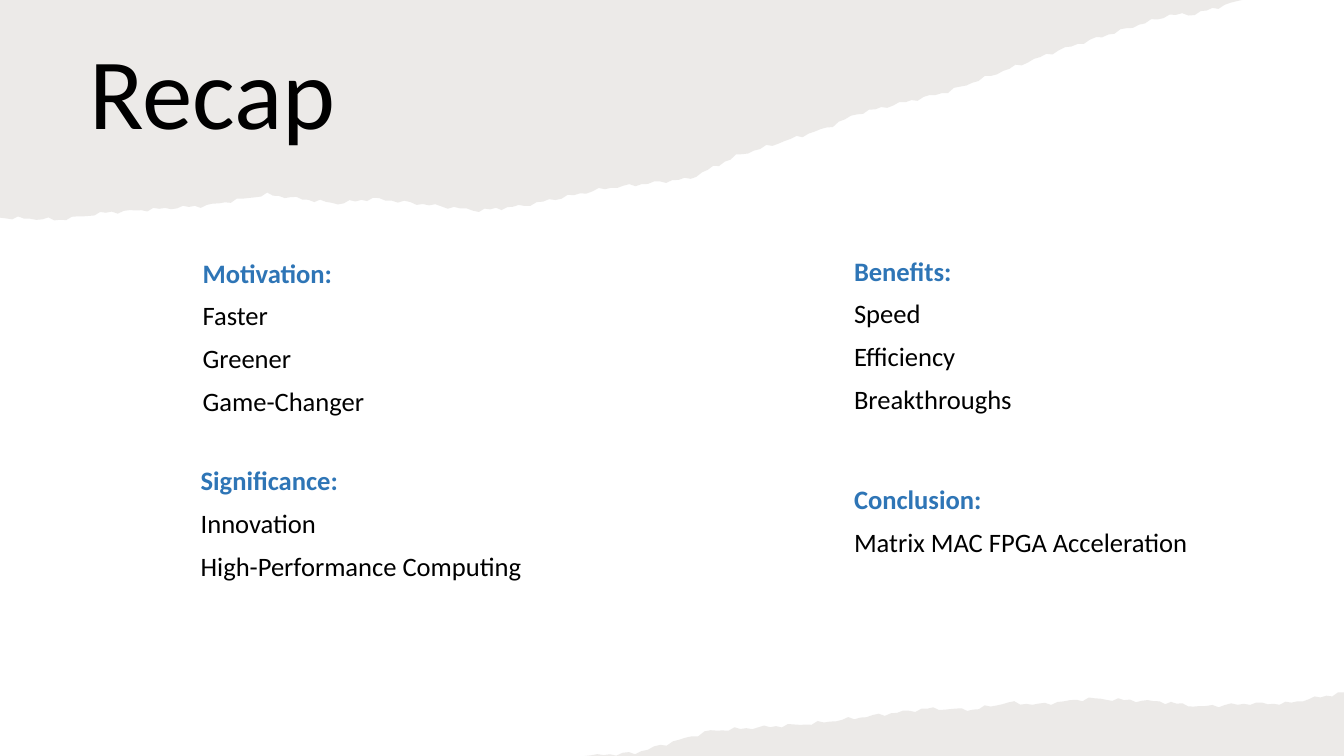
from dataclasses import dataclass
from itertools import pairwise
from math import sin

from lxml import etree
from pptx import Presentation
from pptx.dml.color import RGBColor
from pptx.enum.text import MSO_ANCHOR, MSO_AUTO_SIZE, PP_ALIGN
from pptx.oxml.ns import qn
from pptx.util import Inches, Pt

TOP = MSO_ANCHOR.TOP
MIDDLE = MSO_ANCHOR.MIDDLE
LEFT = PP_ALIGN.LEFT
FIXED = MSO_AUTO_SIZE.NONE

FONT = "Calibri"
WIDE, HIGH = 13.33, 7.5
COLORS = {"paper": "82766A", "head": "2E75B6", "ink": "000000"}
OPAQUE = 15
STEP = 0.06
ROUGH = 0.01
WAVES = (23, 61)

Point = tuple[float, float]


@dataclass
class Sheet:
    corner: Point
    bends: list[Point]


@dataclass
class Block:
    left: float
    top: float
    width: float
    head: str
    lines: list[str]


SHEETS = [
    Sheet((0, 0), [
        (0, 2.16), (0.6, 2.18), (1.05, 2.11), (2.05, 2.04), (2.65, 1.93),
        (3.35, 2.02), (3.7, 1.97), (4.75, 2.09), (5.2, 2.04), (6, 1.87),
        (6.85, 1.77), (7.3, 1.55), (8.2, 1.27), (8.5, 1.13), (9.4, 0.91),
        (10.5, 0.5), (10.75, 0.42), (11.6, 0.15), (11.85, 0.14), (12.32, 0),
    ]),
    Sheet((WIDE, HIGH), [
        (5.8, 7.5), (6.3, 7.47), (7.05, 7.25), (8.05, 7.18), (9.2, 7.03),
        (9.65, 7.04), (10, 6.97), (10.3, 6.99), (10.8, 6.93), (11.5, 6.96),
        (11.9, 7.01), (12.4, 6.98), (12.75, 6.98), (13.33, 6.87),
    ]),
]
BLOCKS = [
    Block(1.91, 2.53, 3.02, "Motivation:", ["Faster", "Greener", "Game-Changer"]),
    Block(8.37, 2.51, 3.53, "Benefits:", ["Speed", "Efficiency", "Breakthroughs"]),
    Block(1.89, 4.59, 3.5, "Significance:", ["Innovation", "High-Performance Computing"]),
    Block(8.37, 4.78, 4.06, "Conclusion:", ["Matrix MAC FPGA Acceleration"]),
]


def ripple(x: float) -> float:
    return ROUGH * sum(sin(wave * x) for wave in WAVES)


def rough(bends: list[Point]) -> list[Point]:
    points = []
    for (x1, y1), (x2, y2) in pairwise(bends):
        count = max(1, round((x2 - x1) / STEP))
        for i in range(count):
            x = x1 + (x2 - x1) * i / count
            y = y1 + (y2 - y1) * i / count + ripple(x)
            points.append((x, min(max(y, 0), HIGH)))
    return points + [bends[-1]]


def tear(slide, sheet: Sheet) -> None:
    start, *rest = [(Inches(x), Inches(y)) for x, y in [sheet.corner, *rough(sheet.bends)]]
    pen = slide.shapes.build_freeform(*start)
    pen.add_line_segments(rest, close=True)
    paper = pen.convert_to_shape()
    paper.shadow.inherit = False
    paper.line.fill.background()
    paper.fill.solid()
    paper.fill.fore_color.rgb = RGBColor.from_string(COLORS["paper"])
    tint = paper.element.spPr.find(qn("a:solidFill"))[0]
    etree.SubElement(tint, qn("a:alpha"), val=str(OPAQUE * 1000))
    slide.shapes.title.element.addprevious(paper.element)


def place(shape, left: float, top: float, width: float, height: float, anchor) -> None:
    shape.left, shape.top = Inches(left), Inches(top)
    shape.width, shape.height = Inches(width), Inches(height)
    frame = shape.text_frame
    frame.word_wrap = True
    frame.auto_size = FIXED
    frame.vertical_anchor = anchor


def write(para, text: str, *, size: float = 19, color: str = "ink",
          bold: bool = False, before: float = 10) -> None:
    para.alignment = LEFT
    para.line_spacing = 0.9
    para.space_before = Pt(before)
    props = para._p.get_or_add_pPr()
    props.set("marL", "0")
    props.set("indent", "0")
    etree.SubElement(props, qn("a:buNone"))
    run = para.add_run()
    run.text = text
    run.font.name = FONT
    run.font.size = Pt(size)
    run.font.bold = bold
    run.font.color.rgb = RGBColor.from_string(COLORS[color])


def fill(shape, block: Block) -> None:
    place(shape, block.left, block.top, block.width, 1.73, TOP)
    frame = shape.text_frame
    write(frame.paragraphs[0], block.head, color="head", bold=True)
    for line in block.lines:
        write(frame.add_paragraph(), line)


def main() -> None:
    deck = Presentation()
    deck.slide_width, deck.slide_height = Inches(WIDE), Inches(HIGH)
    slide = deck.slides.add_slide(deck.slide_layouts.get_by_name("Comparison"))
    title, *bodies = slide.placeholders
    for sheet in SHEETS:
        tear(slide, sheet)
    place(title, 0.79, 0.56, 8.37, 0.81, MIDDLE)
    write(title.text_frame.paragraphs[0], "Recap", size=72, before=0)
    for body, block in zip(bodies, BLOCKS):
        fill(body, block)
    deck.save("out.pptx")


if __name__ == "__main__":
    main()
